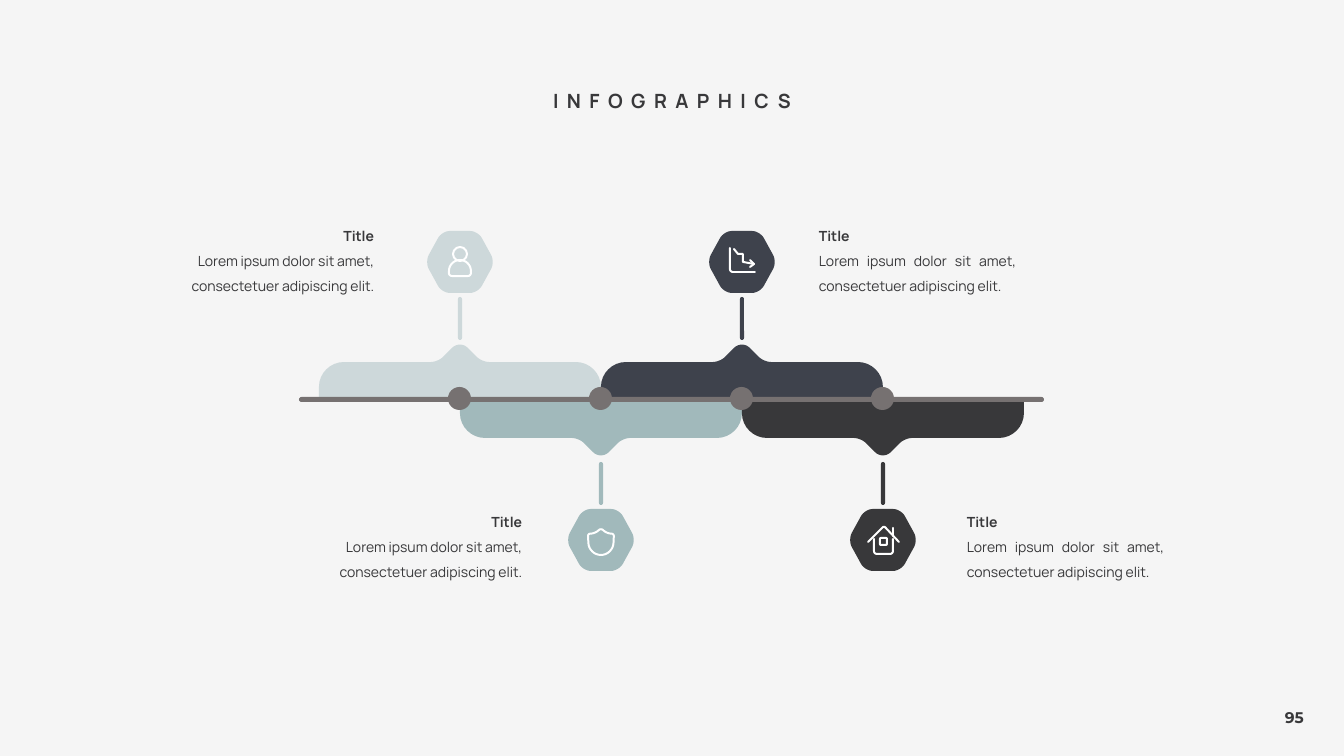
"""Build the infographics timeline slide with four milestones."""
from math import dist

from pptx import Presentation
from pptx.dml.color import RGBColor
from pptx.enum.shapes import MSO_SHAPE as Preset
from pptx.enum.text import MSO_ANCHOR as Anchor, MSO_AUTO_SIZE as Fit, PP_ALIGN as Align
from pptx.util import Pt

PX = 914400 / 100.8
COLORS = {"paper": "F5F5F5", "ink": "38383A", "mist": "CDD8DA", "sage": "A1B9BB",
          "navy": "3E424C", "axis": "767171", "white": "FFFFFF"}

deck = Presentation()
deck.slide_width, deck.slide_height = round(1344 * PX), round(756 * PX)
slide = deck.slides.add_slide(deck.slide_layouts[6])
slide.background.fill.solid()
slide.background.fill.fore_color.rgb = RGBColor.from_string(COLORS["paper"])
shapes = slide.shapes


def paint(shape, fill=None, stroke=None):
    """Give a shape a flat fill or a round white-style stroke."""
    shape.shadow.inherit = False
    for part, color in ((shape.fill, fill), (shape.line.fill, stroke)):
        if color:
            part.solid()
            part.fore_color.rgb = RGBColor.from_string(COLORS[color])
        else:
            part.background()
    if stroke:
        shape.line.width = round(2 * PX)
        shape.line._get_or_add_ln().set("cap", "rnd")


def trace(corners, x, y, closed=True):
    """Draw an outline around (x, y); each corner is (dx, dy, rounding)."""
    outline = []
    for i, (*corner, rounding) in enumerate(corners):
        if not rounding:
            outline.append(corner)
            continue
        ends = []
        for dx, dy, _ in (corners[i - 1], corners[(i + 1) % len(corners)]):
            reach = rounding / dist(corner, (dx, dy))
            ends.append([c + (n - c) * reach for c, n in zip(corner, (dx, dy))])
        for step in range(9):
            t = step / 8
            near, far = (1 - t) ** 3, t ** 3
            near += 0.45 * 3 * t * (1 - t) ** 2
            far += 0.45 * 3 * t * t * (1 - t)
            outline.append([a * near + b * far + c * (1 - near - far)
                            for a, b, c in zip(*ends, corner)])
    spots = [((x + dx) * PX, (y + dy) * PX) for dx, dy in outline]
    pen = shapes.build_freeform(*spots[0], scale=1.0)
    pen.add_line_segments(spots[1:], close=closed)
    return pen.convert_to_shape()


HEXAGON = [(-18, -31, 8), (18, -31, 8), (35, 0, 8), (18, 31, 8), (-18, 31, 8), (-35, 0, 8)]
BRACKET = [(-141, 0, 0), (-141, 38, 25), (-22, 38, 7), (0, 60, 11),
           (22, 38, 7), (141, 38, 25), (141, 0, 0)]
PERSON = [(True, [(-11, 14, 3), (-11, -2, 11), (11, -2, 11), (11, 14, 3)])]
SHIELD = [(True, [(0, -12, 3), (5, -7, 4), (13, -6, 2), (12, 15, 12),
                  (-12, 15, 12), (-13, -6, 2), (-5, -7, 4)])]
CHART = [(False, [(-12, -14, 0), (-12, 10, 3), (13, 10, 0)]),
         (False, [(-8, -13, 0), (-4, -8, 0), (1, -8, 0), (1, 0, 0), (12, 2, 0)]),
         (False, [(8, -2, 0), (12, 2, 0), (8, 5, 0)])]
HOUSE = [(False, [(-9, -1, 0), (-9, 14, 3), (10, 14, 3), (10, -1, 0)]),
         (False, [(-15, 2, 0), (1, -14, 2), (16, 2, 0)]),
         (False, [(10, -12, 0), (10, -4, 0)]),
         (True, [(-3, -2, 1), (4, -2, 1), (4, 5, 1), (-3, 5, 1)])]

AXIS_Y, FIRST_X, PITCH = 400, 460, 141
milestones = [("mist", PERSON), ("sage", SHIELD), ("navy", CHART), ("ink", HOUSE)]
bars = []
for i, (color, icon) in enumerate(milestones):
    x = FIRST_X + i * PITCH
    side, badge_y, stem_y = ((-1, 262, 297), (1, 540, 462))[i % 2]
    paint(trace([(dx, dy * side, r) for dx, dy, r in BRACKET], x, AXIS_Y), color)
    paint(trace(HEXAGON, x, badge_y), color)
    for closed, strokes in icon:
        paint(trace(strokes, x, badge_y, closed), stroke="white")
    if icon is PERSON:
        head = [round(v * PX) for v in (x - 7, badge_y - 15, 14, 14)]
        paint(shapes.add_shape(Preset.OVAL, *head), stroke="white")
    bars.append((color, x - 2, stem_y, 4, 43))

bars.append(("axis", 299, 397, 745, 5))
for color, *place in bars:
    bar = shapes.add_shape(Preset.ROUNDED_RECTANGLE, *[round(v * PX) for v in place])
    bar.adjustments[0] = 0.5
    paint(bar, color)
for i in range(len(milestones)):
    dot = [round(v * PX) for v in (FIRST_X + i * PITCH - 12, 387, 23, 23)]
    paint(shapes.add_shape(Preset.OVAL, *dot), "axis")

HEADING = {"name": "Manrope", "size": Pt(14), "bold": True}
LABEL = {"name": "Manrope", "size": Pt(10), "bold": True}
BODY = {**LABEL, "bold": False}
NUMBER = {"name": "Montserrat", "size": Pt(11), "bold": True}
caption = [("Title", LABEL), ("Lorem ipsum dolor sit amet, consectetuer adipiscing elit.", BODY)]

texts = [((452, 76, 440, 41), Anchor.BOTTOM, Align.CENTER, 1.5, [("INFOGRAPHICS", HEADING)]),
         ((1275, 703, 41, 29), Anchor.TOP, Align.LEFT, 1.0, [("95", NUMBER)])]
for left, top, align in ((167, 213, Align.RIGHT), (315, 499, Align.RIGHT),
                         (809, 213, Align.JUSTIFY), (957, 499, Align.JUSTIFY)):
    texts.append(((left, top, 217, 87), Anchor.MIDDLE, align, 1.5, caption))

for place, anchor, align, spacing, lines in texts:
    frame = shapes.add_textbox(*[round(v * PX) for v in place]).text_frame
    frame_format = {"word_wrap": lines[0][1] is not NUMBER, "vertical_anchor": anchor,
                    "auto_size": Fit.SHAPE_TO_FIT_TEXT}
    for key, value in frame_format.items():
        setattr(frame, key, value)
    for i, (words, font_format) in enumerate(lines):
        paragraph = frame.add_paragraph() if i else frame.paragraphs[0]
        paragraph.alignment, paragraph.line_spacing = align, spacing
        run = paragraph.add_run()
        run.text = words
        for key, value in font_format.items():
            setattr(run.font, key, value)
        run.font.color.rgb = RGBColor.from_string(COLORS["ink"])
        if font_format is HEADING:
            run._r.get_or_add_rPr().set("spc", "600")

deck.save("out.pptx")
